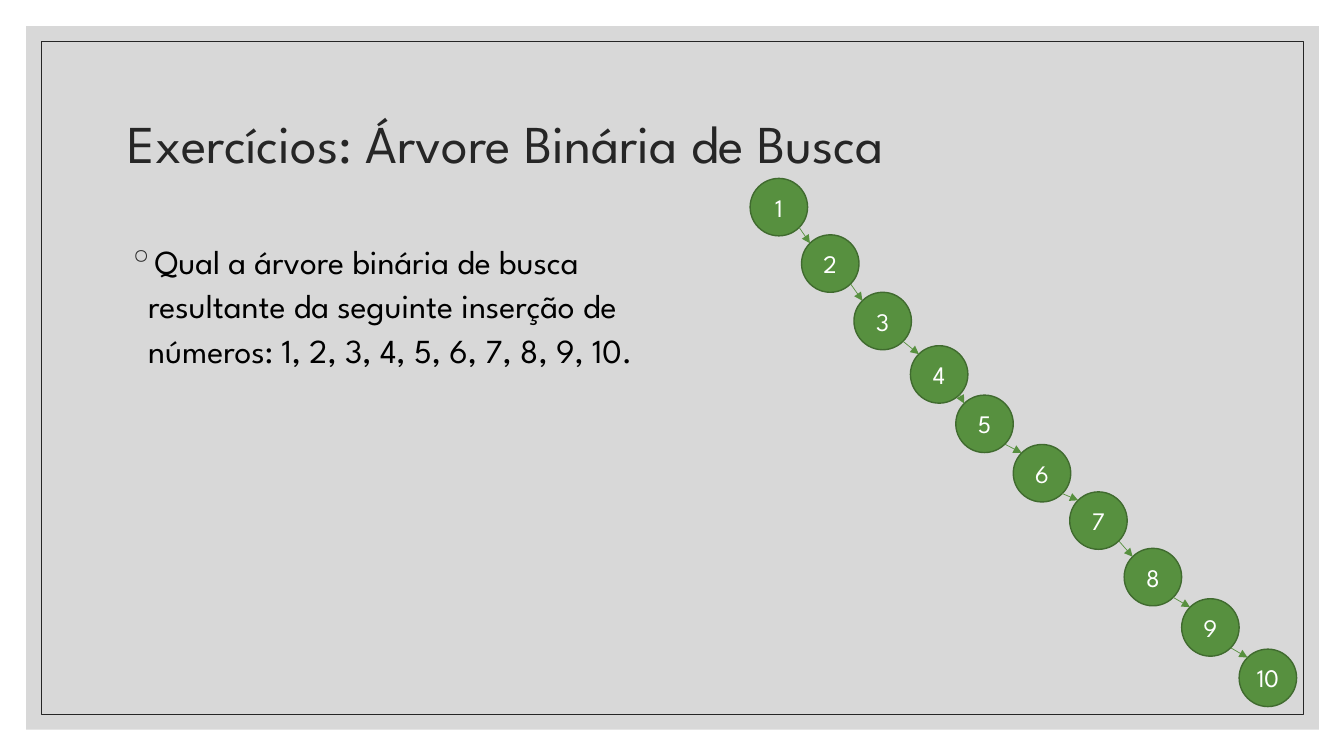
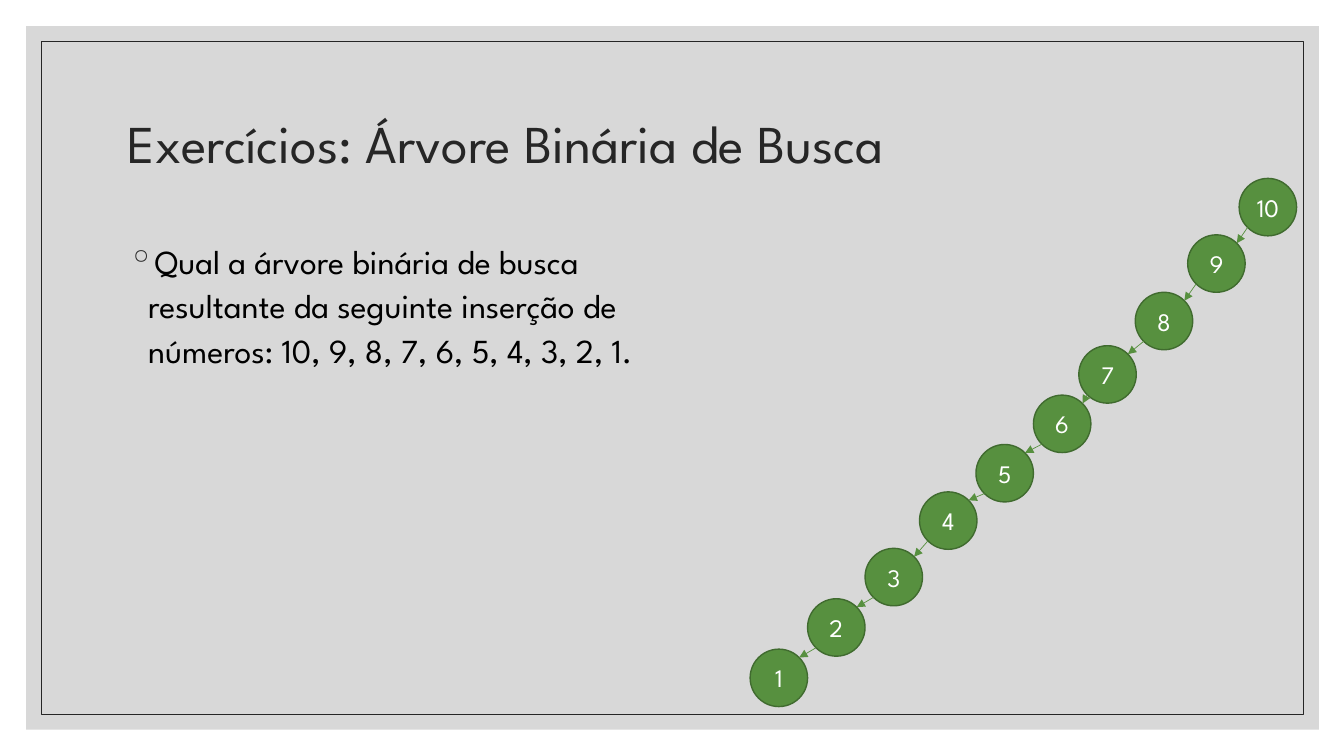
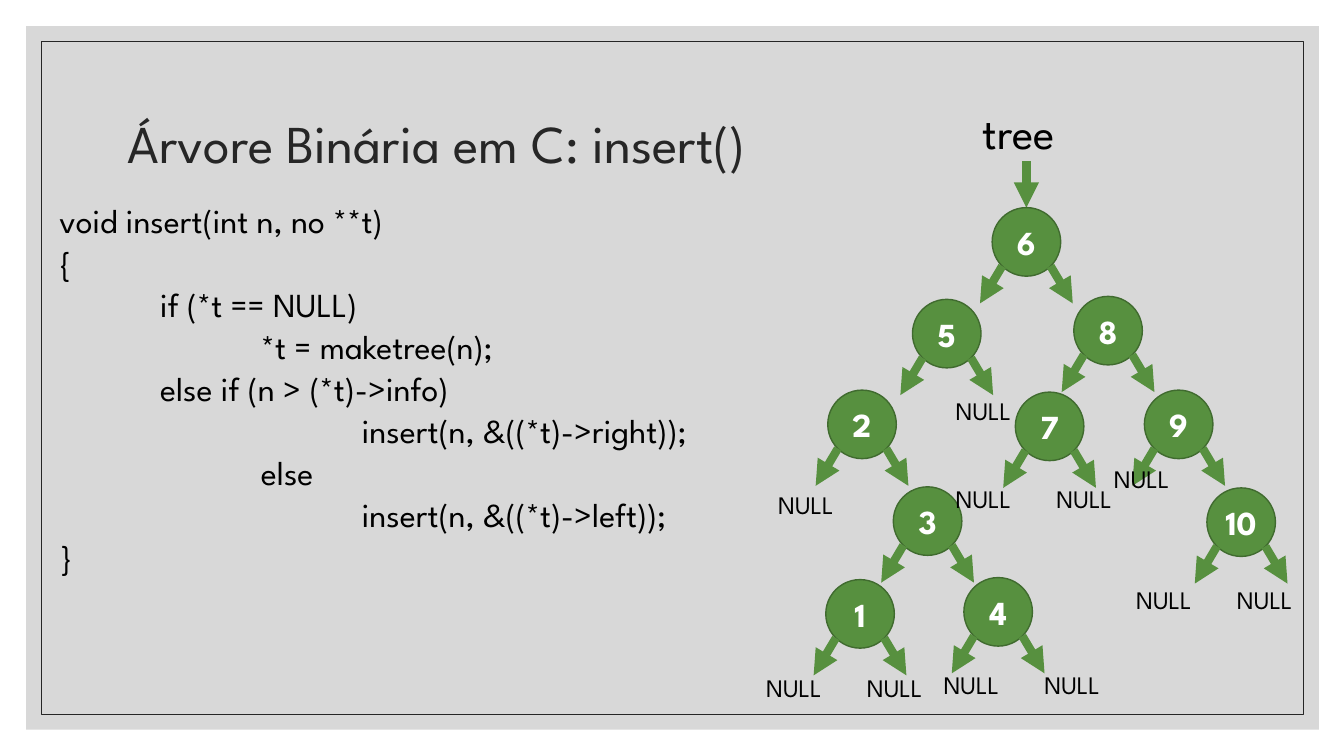
from lxml import etree
from pptx import Presentation
from pptx.dml.color import RGBColor
from pptx.enum.shapes import MSO_CONNECTOR, MSO_SHAPE
from pptx.enum.text import MSO_ANCHOR, PP_ALIGN
from pptx.oxml.ns import qn
from pptx.util import Inches, Pt

RECTANGLE, ELLIPSE = MSO_SHAPE.RECTANGLE, MSO_SHAPE.OVAL
STRAIGHT = MSO_CONNECTOR.STRAIGHT
TOP, MIDDLE = MSO_ANCHOR.TOP, MSO_ANCHOR.MIDDLE
LEFT, CENTER = PP_ALIGN.LEFT, PP_ALIGN.CENTER

FONT = "League Spartan"
BLACK, WHITE, INK, PANEL = "000000", "FFFFFF", "262626", "BFBFBF"
GREEN, DARK_GREEN = "57903F", "406B2F"

CHAIN_DIAMETER, NODE_DIAMETER = 0.57, 0.68
CHAIN_LEFT, CHAIN_RIGHT = 7.44, 12.29
CHAIN_PLACES = [
    (CHAIN_LEFT, 1.77), (7.95, 2.33), (8.47, 2.9), (9.03, 3.43), (9.48, 3.92),
    (10.05, 4.41), (10.61, 4.88), (11.15, 5.44), (11.72, 5.94), (CHAIN_RIGHT, 6.44),
]
TREE_NODES = [
    (6, 9.84, 2.06), (5, 9.05, 2.97), (8, 10.65, 2.94), (9, 11.35, 3.87), (7, 10.07, 3.89),
    (10, 11.97, 4.84), (2, 8.21, 3.87), (3, 8.86, 4.83), (4, 9.56, 5.73), (1, 8.19, 5.75),
]
NULL_PAIRS = [(9.26, 6.59), (11.17, 5.75), (7.5, 6.62), (9.38, 4.75)]
SINGLE_NULLS = [(7.62, 4.81), (9.38, 3.87), (10.95, 4.55)]
CODE = """void insert(int n, no **t)
{
\tif (*t == NULL)
\t\t*t = maketree(n);
\telse if (n > (*t)->info)
\t\t\tinsert(n, &((*t)->right));
\t\telse
\t\t\tinsert(n, &((*t)->left));
}"""


def color(value):
    return RGBColor.from_string(value)


def add_xml(parent, tag, **attributes):
    return etree.SubElement(parent, qn(tag), {name: str(value) for name, value in attributes.items()})


def write(frame, text, size=24, ink=BLACK, bold=False, align=LEFT, anchor=TOP, wrap=True,
          line_spacing=None, space_before=0, bullet=None, tabs=0):
    """Fill a text frame, one paragraph a line; tabs is the number of one-inch stops."""
    frame.word_wrap = wrap
    frame.vertical_anchor = anchor
    for index, line in enumerate(text.split("\n")):
        para = frame.add_paragraph() if index else frame.paragraphs[0]
        para.alignment = align
        para.space_before = Pt(space_before)
        if line_spacing:
            para.line_spacing = line_spacing
        properties = para._p.get_or_add_pPr()
        if bullet:
            properties.set("marL", str(Inches(0.2)))
            properties.set("indent", str(-Inches(0.2)))
            add_xml(add_xml(properties, "a:buClr"), "a:srgbClr", val=INK)
            add_xml(properties, "a:buChar", char=bullet)
        if tabs:
            stops = add_xml(properties, "a:tabLst")
            for stop in range(1, tabs + 1):
                add_xml(stops, "a:tab", pos=Inches(stop), algn="l")
        span = para.add_run()
        span.text = line
        span.font.name = FONT
        span.font.size = Pt(size)
        span.font.bold = bold
        span.font.color.rgb = color(ink)


class TreeDeck:
    def __init__(self):
        self.deck = Presentation()
        self.deck.slide_width = Inches(13.33)
        self.deck.slide_height = Inches(7.5)
        self.page = None

    def new_page(self, title):
        self.page = self.deck.slides.add_slide(self.deck.slide_layouts[6])
        panel = self.shape(RECTANGLE, 0.26, 0.26, 12.82, 6.98, fill=PANEL)
        fill_color = panel._element.spPr.find(qn("a:solidFill")).find(qn("a:srgbClr"))
        add_xml(fill_color, "a:alpha", val=60000)
        self.shape(RECTANGLE, 0.41, 0.41, 12.52, 6.68, line=INK, line_width=0.5)
        self.text(title, 1.17, 0.7, 11, 1.5, size=38, ink=INK, anchor=MIDDLE, line_spacing=0.9)

    def shape(self, kind, left, top, width, height, fill=None, line=None, line_width=1):
        shape = self.page.shapes.add_shape(kind, Inches(left), Inches(top), Inches(width), Inches(height))
        shape.shadow.inherit = False
        if fill:
            shape.fill.solid()
            shape.fill.fore_color.rgb = color(fill)
        else:
            shape.fill.background()
        if line:
            shape.line.color.rgb = color(line)
            shape.line.width = Pt(line_width)
        else:
            shape.line.fill.background()
        return shape

    def text(self, text, left, top, width, height, **style):
        box = self.page.shapes.add_textbox(Inches(left), Inches(top), Inches(width), Inches(height))
        write(box.text_frame, text, **style)

    def circle(self, label, left, top, diameter, **style):
        circle = self.shape(ELLIPSE, left, top, diameter, diameter, fill=GREEN, line=DARK_GREEN)
        circle.text_frame.margin_left = circle.text_frame.margin_right = 0
        write(circle.text_frame, str(label), ink=WHITE, align=CENTER, anchor=MIDDLE, **style)

    def arrow(self, start, end, width):
        points = [Inches(value) for value in (*start, *end)]
        arrow = self.page.shapes.add_connector(STRAIGHT, *points)
        arrow.line.color.rgb = color(GREEN)
        arrow.line.width = Pt(width)
        properties = arrow._element.spPr
        add_xml(properties.find(qn("a:ln")), "a:tailEnd", type="triangle")
        add_xml(properties, "a:effectLst")

    def chain(self, labels, places):
        """Draw circles in a row, joined where their 45-degree points face each other."""
        for label, (left, top) in zip(labels, places):
            self.circle(label, left, top, CHAIN_DIAMETER, size=18)
        radius = CHAIN_DIAMETER / 2
        reach = radius * 0.5 ** 0.5
        for (left, top), (next_left, next_top) in zip(places, places[1:]):
            step = reach if next_left > left else -reach
            self.arrow((left + radius + step, top + radius + reach),
                       (next_left + radius - step, next_top + radius - reach), 0.5)

    def tree_node(self, label, left, top):
        self.circle(label, left, top, NODE_DIAMETER, size=24, bold=True)
        middle = left + NODE_DIAMETER / 2
        for side in (-1, 1):
            self.arrow((middle + side * 0.24, top + 0.58), (middle + side * 0.46, top + 0.95), 6)

    def exercise(self, labels, places):
        self.new_page("Exercícios: Árvore Binária de Busca")
        numbers = ", ".join(str(label) for label in labels)
        self.text(f"Qual a árvore binária de busca resultante da seguinte inserção de números: {numbers}.",
                  1.17, 2.3, 5.25, 4.21, line_spacing=1.1, space_before=9, bullet="◦")
        self.chain(labels, places)

    def insert_code(self):
        self.new_page("Árvore Binária em C: insert()")
        self.text(CODE, 0.49, 2.04, 11.58, 4.45, line_spacing=Pt(21), space_before=9, tabs=3)
        self.text("tree", 9.65, 0.99, 1.07, 1.18, size=32, wrap=False)
        self.arrow((10.18, 1.6), (10.18, 2.06), 6)
        for node in TREE_NODES:
            self.tree_node(*node)
        for left, top in NULL_PAIRS:
            self.text("NULL\tNULL", left, top, 1.85, 0.4, size=18, tabs=1)
        for left, top in SINGLE_NULLS:
            self.text("NULL", left, top, 0.8, 0.4, size=18)


def main():
    tree_deck = TreeDeck()
    mirrored = [(CHAIN_LEFT + CHAIN_RIGHT - left, top) for left, top in CHAIN_PLACES]
    tree_deck.exercise(range(1, 11), CHAIN_PLACES)
    tree_deck.exercise(range(10, 0, -1), mirrored)
    tree_deck.insert_code()
    tree_deck.deck.save("out.pptx")


if __name__ == "__main__":
    main()
